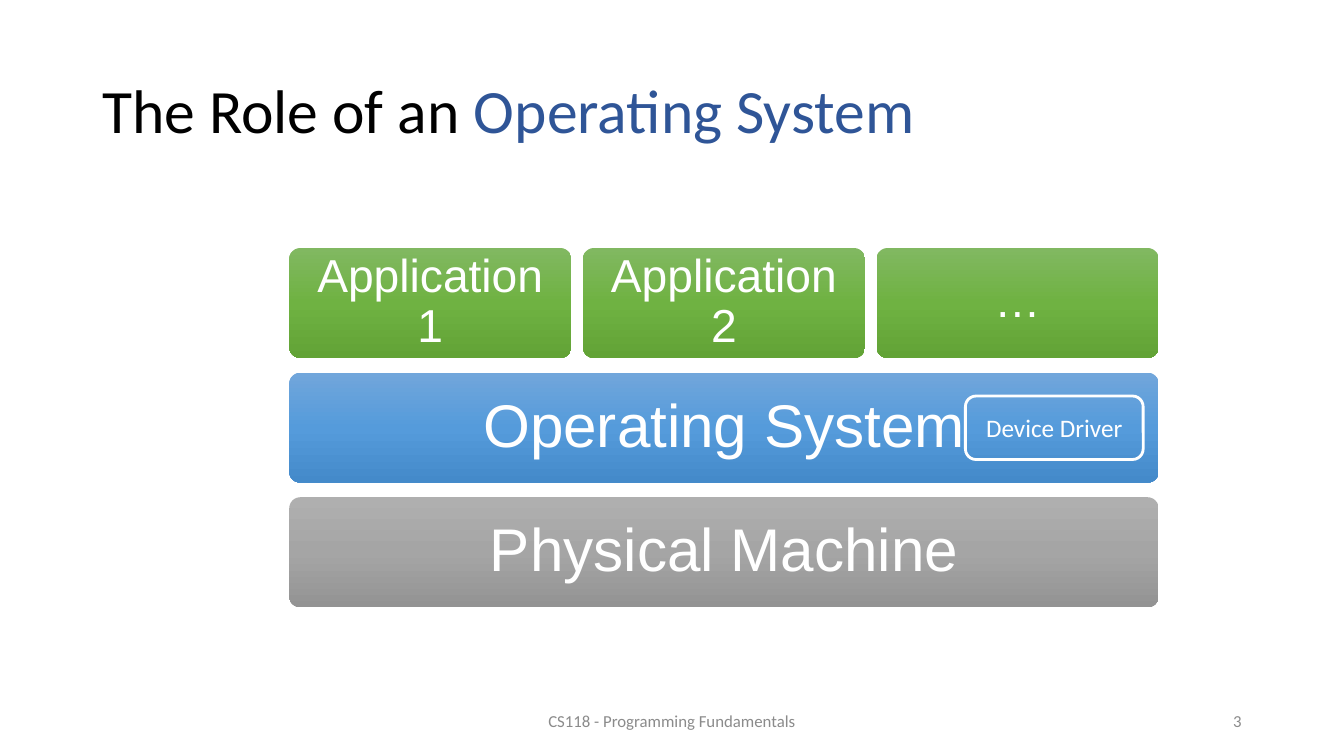
"""Build a slide that shows the layers between applications and the machine."""
from copy import deepcopy
from dataclasses import dataclass

from pptx import Presentation
from pptx import util as u
from pptx.dml import color
from pptx.enum import shapes, text

COLORS = {
    "title": "000000",
    "accent": "2F5597",
    "footer": "8B8B8B",
    "white": "FFFFFF",
}
GRADIENTS = {
    "app": ("81B861", "6FB242", "62A336"),
    "system": ("71A6DB", "559BDB", "448ACA"),
    "machine": ("AFAFAF", "A5A5A5", "939393"),
}
LEFT, TOP = 7.29, 6.25
APP_W, BLOCK_H = 7.11, 2.77
COL_STEP, ROW_STEP = 7.4, 3.14
FULL_W = 2 * COL_STEP + APP_W


@dataclass
class Block:
    label: str
    kind: str
    row: int
    col: int = 0
    width: float = FULL_W
    size: int = 43
    inset: float = 0.46


@dataclass
class Label:
    runs: list[tuple[str, str]]
    box: tuple[float, float, float, float]
    size: int
    align: text.PP_ALIGN
    spacing: float = 1.0


def rgb(value: str) -> color.RGBColor:
    """Turn a hex string into a colour."""
    return color.RGBColor.from_string(value)


def write(tf, runs, *, size, font="Calibri", align=text.PP_ALIGN.CENTER,
          spacing=1.0, inset=(0.25, 0.13)) -> None:
    """Fill a text frame with one paragraph of (wording, colour name) runs."""
    tf.word_wrap = True
    tf.auto_size = text.MSO_AUTO_SIZE.NONE
    tf.vertical_anchor = text.MSO_ANCHOR.MIDDLE
    tf.margin_left = tf.margin_right = u.Cm(inset[0])
    tf.margin_top = tf.margin_bottom = u.Cm(inset[1])
    p = tf.paragraphs[0]
    p.alignment = align
    p.line_spacing = spacing
    for wording, name in runs:
        r = p.add_run()
        r.text = wording
        r.font.name = font
        r.font.size = u.Pt(size)
        r.font.color.rgb = rgb(COLORS[name])


def add_rounded(s, box: tuple[float, float, float, float], radius: float):
    """Add a rounded rectangle without a shadow."""
    sp = s.shapes.add_shape(shapes.MSO_SHAPE.ROUNDED_RECTANGLE, *map(u.Cm, box))
    sp.adjustments[0] = radius
    sp.shadow.inherit = False
    return sp


def fill_gradient(sp, stops: tuple[str, str, str]) -> None:
    """Fill a shape with three evenly placed colours, from top to bottom."""
    sp.fill.gradient()
    sp.fill.gradient_angle = 270
    gs_list = sp.element.spPr.xpath("./a:gradFill/a:gsLst")[0]
    gs_list.append(deepcopy(gs_list[0]))
    for i, (stop, value) in enumerate(zip(sp.fill.gradient_stops, stops)):
        stop.position = i / 2
        stop.color.rgb = rgb(value)


def add_block(s, block: Block) -> None:
    """Draw one layer block at its row and column."""
    box = (LEFT + block.col * COL_STEP, TOP + block.row * ROW_STEP,
           block.width, BLOCK_H)
    sp = add_rounded(s, box, 0.1)
    fill_gradient(sp, GRADIENTS[block.kind])
    sp.line.fill.background()
    write(sp.text_frame, [(block.label, "white")], size=block.size,
          font="Arial", spacing=0.9, inset=(block.inset, block.inset))


def add_label(s, label: Label) -> None:
    """Draw one plain text box."""
    sp = s.shapes.add_textbox(*map(u.Cm, label.box))
    write(sp.text_frame, label.runs, size=label.size, align=label.align,
          spacing=label.spacing)


def add_driver(s) -> None:
    """Draw the outlined device driver inside the system block."""
    sp = add_rounded(s, (24.33, 9.98, 4.48, 1.6), 0.167)
    sp.fill.background()
    sp.line.color.rgb = rgb(COLORS["white"])
    sp.line.width = u.Pt(2)
    write(sp.text_frame, [("Device Driver", "white")], size=18)


def main() -> None:
    """Build and save the slide."""
    prs = Presentation()
    prs.slide_width, prs.slide_height = u.Cm(33.87), u.Cm(19.05)
    s = prs.slides.add_slide(prs.slide_layouts[6])
    apps = [Block(name, "app", 0, col, APP_W, 33, 0.36)
            for col, name in enumerate(("Application 1", "Application 2", "…"))]
    for block in (Block("Physical Machine", "machine", 2),
                  Block("Operating System", "system", 1), *apps):
        add_block(s, block)
    add_driver(s)
    for label in (
        Label([("The Role of an ", "title"), ("Operating System", "accent")],
              (2.33, 1.01, 29.21, 3.68), 44, text.PP_ALIGN.LEFT, 0.9),
        Label([("CS118 - Programming Fundamentals", "footer")],
              (11.22, 17.66, 11.43, 1.01), 12, text.PP_ALIGN.CENTER),
        Label([("3", "footer")],
              (23.92, 17.66, 7.62, 1.01), 12, text.PP_ALIGN.RIGHT),
    ):
        add_label(s, label)
    prs.save("out.pptx")


main()
